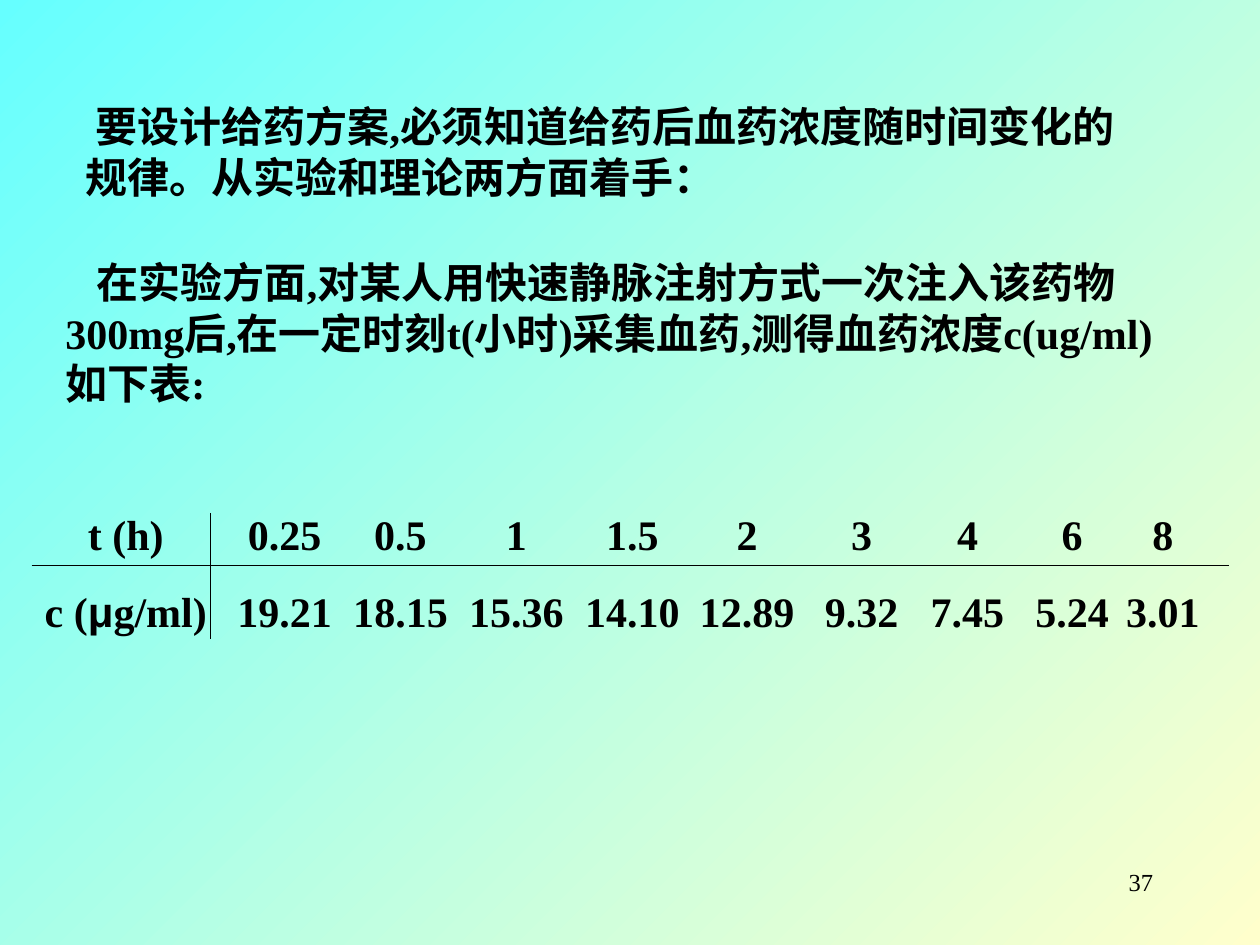
from dataclasses import dataclass

from lxml import etree
from pptx import Presentation
from pptx.dml.color import RGBColor
from pptx.enum.shapes import MSO_CONNECTOR
from pptx.enum.text import MSO_AUTO_SIZE, PP_ALIGN
from pptx.oxml.ns import qn
from pptx.util import Inches, Pt

STRAIGHT = MSO_CONNECTOR.STRAIGHT
GROW = MSO_AUTO_SIZE.SHAPE_TO_FIT_TEXT
LEFT, RIGHT = PP_ALIGN.LEFT, PP_ALIGN.RIGHT


@dataclass(frozen=True)
class Theme:
    ink: RGBColor = RGBColor(0x00, 0x00, 0x00)
    sky: RGBColor = RGBColor(0x66, 0xFF, 0xFF)
    cream: RGBColor = RGBColor(0xFF, 0xFF, 0xCC)
    font: str = "Times New Roman"
    symbol_font: str = "Arial"
    body_size: int = 24
    number_size: int = 14
    row_gap: int = 15
    rule_width: float = 0.75


THEME = Theme()

INTRO = "要设计给药方案,必须知道给药后血药浓度随时间变化的规律。从实验和理论两方面着手："
EXPERIMENT = ("在实验方面,对某人用快速静脉注射方式一次注入该药物300mg后,"
              "在一定时刻t(小时)采集血药,测得血药浓度c(ug/ml)如下表:")
TIMES = ["0.25", "0.5", "1", "1.5", "2", "3", "4", "6", "8"]
LEVELS = ["19.21", "18.15", "15.36", "14.10", "12.89", "9.32", "7.45", "5.24", "3.01"]

# Column centres, measured from the left edge of the text
LABEL_CENTRE = 0.65
VALUE_CENTRES = [1.91, 2.83, 3.75, 4.67, 5.58, 6.49, 7.33, 8.16, 8.88]


def add_text_box(page, left, top, width, height):
    box = page.shapes.add_textbox(Inches(left), Inches(top), Inches(width), Inches(height))
    box.text_frame.word_wrap = True
    return box


def add_span(para, text, size=THEME.body_size, bold=True, font=THEME.font):
    span = para.add_run()
    span.text = text
    span.font.name = font
    span.font.size = Pt(size)
    span.font.bold = bold
    span.font.color.rgb = THEME.ink


def add_centre_tabs(para, positions):
    tabs = etree.SubElement(para._p.get_or_add_pPr(), qn("a:tabLst"))
    for position in positions:
        etree.SubElement(tabs, qn("a:tab"), pos=str(Inches(position)), algn="ctr")


def add_rule(page, x1, y1, x2, y2):
    rule = page.shapes.add_connector(STRAIGHT, Inches(x1), Inches(y1), Inches(x2), Inches(y2))
    rule.line.color.rgb = THEME.ink
    rule.line.width = Pt(THEME.rule_width)
    etree.SubElement(rule._element.spPr, qn("a:effectLst"))


def paint_background(page):
    fill = page.background.fill
    fill.gradient()
    fill.gradient_angle = 315  # counter-clockwise: runs to the lower right
    for stop, color in zip(fill.gradient_stops, (THEME.sky, THEME.cream)):
        stop.color.rgb = color


def add_passage(page, text, indent, left, top, width, height):
    box = add_text_box(page, left, top, width, height)
    box.text_frame.auto_size = GROW
    para = box.text_frame.paragraphs[0]
    para.alignment = LEFT
    para._p.get_or_add_pPr().set("indent", str(Inches(indent)))
    add_span(para, text)


def add_measurements(page, left, top, width, height):
    box = add_text_box(page, left, top, width, height)
    frame = box.text_frame
    frame.auto_size = GROW
    time_row = frame.paragraphs[0]
    level_row = frame.add_paragraph()
    level_row.space_before = Pt(THEME.row_gap)
    for para in (time_row, level_row):
        add_centre_tabs(para, [LABEL_CENTRE] + VALUE_CENTRES)

    add_span(time_row, "\t".join(["", "t (h)"] + TIMES))
    add_span(level_row, "\tc (")
    add_span(level_row, "μ", font=THEME.symbol_font)
    add_span(level_row, "\t".join(["g/ml)"] + LEVELS))

    # Rules below the header row and beside the labels
    add_rule(page, left, top + 0.5, left + 9.5, top + 0.5)
    add_rule(page, left + 1.42, top + 0.08, left + 1.42, top + 1.08)


def add_page_number(page, number, left, top, width, height):
    box = add_text_box(page, left, top, width, height)
    para = box.text_frame.paragraphs[0]
    para.alignment = RIGHT
    add_span(para, number, size=THEME.number_size, bold=False)


def main():
    deck = Presentation()
    deck.slide_width, deck.slide_height = Inches(10), Inches(7.5)
    page = deck.slides.add_slide(deck.slide_layouts[6])

    paint_background(page)
    add_page_number(page, "37", 7.17, 6.83, 2.08, 0.5)
    add_passage(page, EXPERIMENT, 0.25, 0.42, 1.99, 8.92, 1.3)
    add_measurements(page, 0.25, 3.99, 9.42, 1.11)
    add_passage(page, INTRO, 0.08, 0.58, 0.75, 8.67, 0.9)

    deck.save("out.pptx")


if __name__ == "__main__":
    main()
